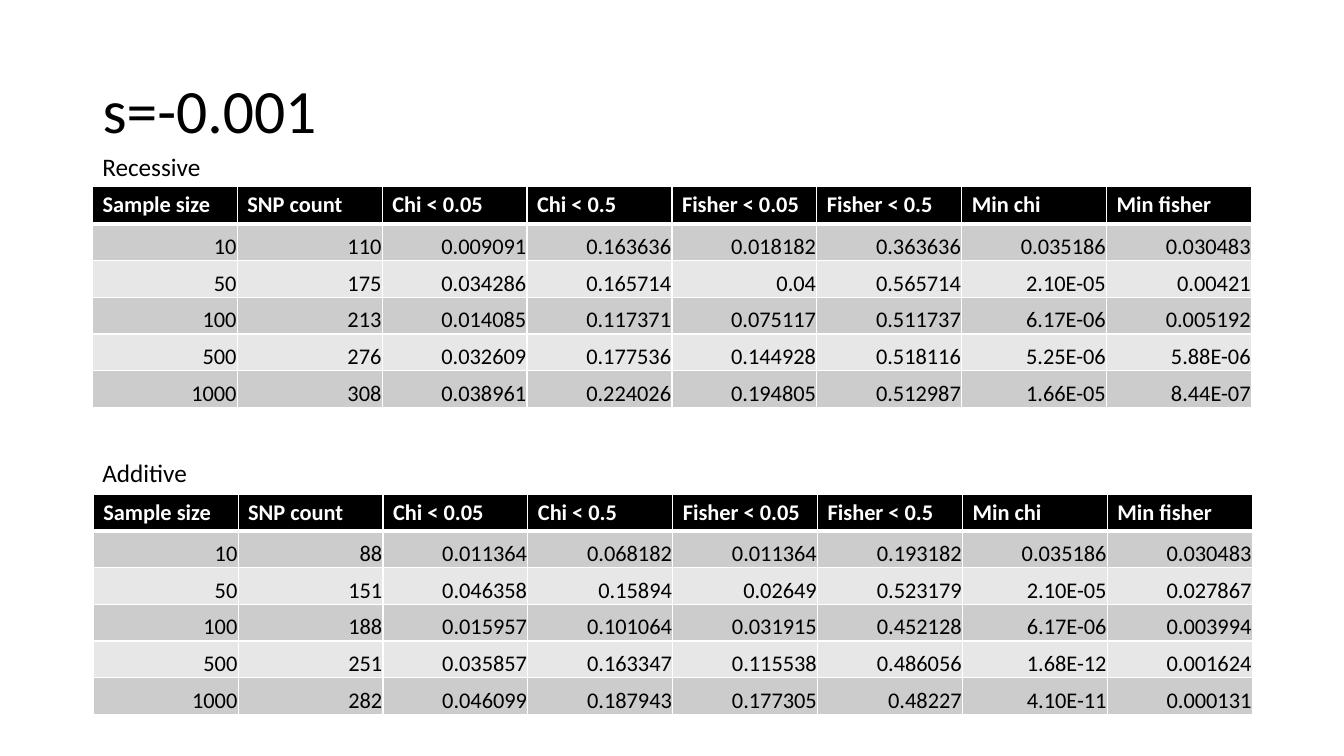
import pptx
import pptx.util
import pptx.dml.color
import pptx.enum.text
import pptx.oxml
import pptx.oxml.ns

Cm, Pt = pptx.util.Cm, pptx.util.Pt
RGB = pptx.dml.color.RGBColor
ALIGN = pptx.enum.text.PP_ALIGN
ANCHOR = pptx.enum.text.MSO_ANCHOR

BLACK = RGB(0, 0, 0)
WHITE = RGB(255, 255, 255)
DARK = RGB(0xCC, 0xCC, 0xCC)
LIGHT = RGB(0xE7, 0xE7, 0xE7)
FONT = "Calibri"

HEADS = ["Sample size", "SNP count", "Chi < 0.05", "Chi < 0.5",
         "Fisher < 0.05", "Fisher < 0.5", "Min chi", "Min fisher"]
RECESS = [
    "10 110 0.009091 0.163636 0.018182 0.363636 0.035186 0.030483",
    "50 175 0.034286 0.165714 0.04 0.565714 2.10E-05 0.00421",
    "100 213 0.014085 0.117371 0.075117 0.511737 6.17E-06 0.005192",
    "500 276 0.032609 0.177536 0.144928 0.518116 5.25E-06 5.88E-06",
    "1000 308 0.038961 0.224026 0.194805 0.512987 1.66E-05 8.44E-07",
]
ADDIT = [
    "10 88 0.011364 0.068182 0.011364 0.193182 0.035186 0.030483",
    "50 151 0.046358 0.15894 0.02649 0.523179 2.10E-05 0.027867",
    "100 188 0.015957 0.101064 0.031915 0.452128 6.17E-06 0.003994",
    "500 251 0.035857 0.163347 0.115538 0.486056 1.68E-12 0.001624",
    "1000 282 0.046099 0.187943 0.177305 0.48227 4.10E-11 0.000131",
]


def write(para, text, size, color=BLACK, bold=False):
    run = para.add_run()
    run.text = text
    font = run.font
    font.name, font.size, font.bold = FONT, Pt(size), bold
    font.color.rgb = color


def border(cell, row):
    # The rule between header and body is thicker
    wide = {"L": 1, "R": 1, "T": 3 if row == 1 else 1, "B": 3 if row == 0 else 1}
    props = cell._tc.get_or_add_tcPr()
    for side, width in wide.items():
        props.append(pptx.oxml.parse_xml(
            f'<a:ln{side} {pptx.oxml.ns.nsdecls("a")} w="{Pt(width)}">'
            f'<a:solidFill><a:srgbClr val="{WHITE}"/></a:solidFill></a:ln{side}>'))


def paint(cell, row, text):
    border(cell, row)
    cell.fill.solid()
    para = cell.text_frame.paragraphs[0]
    if row == 0:
        cell.fill.fore_color.rgb = BLACK
        write(para, text, 16, WHITE, True)
        return
    cell.fill.fore_color.rgb = DARK if row % 2 else LIGHT
    cell.vertical_anchor = ANCHOR.BOTTOM
    cell.margin_left = cell.margin_right = cell.margin_top = Cm(0.02)
    cell.margin_bottom = 0
    para.alignment = ALIGN.RIGHT
    write(para, text, 16)


def title(slide, left, top, width, height):
    shape = slide.shapes.title
    shape.left, shape.top, shape.width, shape.height = left, top, width, height
    frame = shape.text_frame
    frame.vertical_anchor = ANCHOR.MIDDLE
    para = frame.paragraphs[0]
    para.alignment, para.line_spacing = ALIGN.LEFT, 0.9
    write(para, "s=-0.001", 44)


def label(slide, left, top, width, height, text):
    frame = slide.shapes.add_textbox(left, top, width, height).text_frame
    frame.word_wrap = False
    frame.auto_size = pptx.enum.text.MSO_AUTO_SIZE.SHAPE_TO_FIT_TEXT
    write(frame.paragraphs[0], text, 18)


def grid(slide, left, top, width, height, lines):
    rows = [HEADS] + [line.split() for line in lines]
    table = slide.shapes.add_table(
        len(rows), len(HEADS), left, top, width, height).table
    for r, row in enumerate(rows):
        for c, text in enumerate(row):
            paint(table.cell(r, c), r, text)


# Slide
deck = pptx.Presentation()
deck.slide_width, deck.slide_height = Cm(33.87), Cm(19.05)
slide = deck.slides.add_slide(deck.slide_layouts[5])
title(slide, Cm(2.33), Cm(1.01), Cm(29.21), Cm(3.68))

# Recessive model
grid(slide, Cm(2.33), Cm(4.7), Cm(29.21), Cm(5.54), RECESS)
label(slide, Cm(2.33), Cm(3.68), Cm(3.02), Cm(1.03), "Recessive")

# Additive model
grid(slide, Cm(2.35), Cm(12.45), Cm(29.21), Cm(5.54), ADDIT)
label(slide, Cm(2.33), Cm(11.41), Cm(2.67), Cm(1.03), "Additive")

deck.save("out.pptx")
